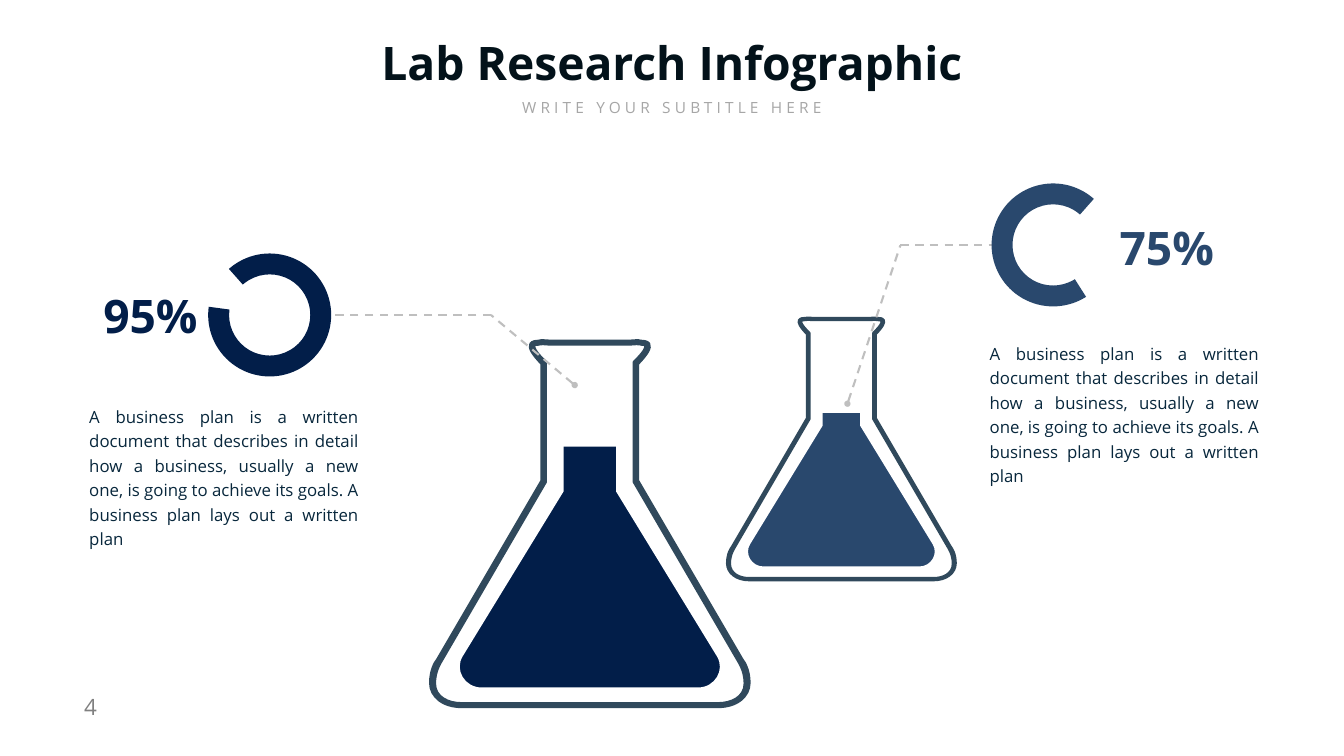
from dataclasses import dataclass
from typing import Optional

from lxml.etree import SubElement
from pptx import Presentation
from pptx.dml.color import RGBColor
from pptx.enum.dml import MSO_LINE_DASH_STYLE as Dash
from pptx.enum.shapes import MSO_CONNECTOR, MSO_SHAPE
from pptx.enum.text import MSO_ANCHOR, MSO_AUTO_SIZE, PP_ALIGN
from pptx.oxml.ns import qn
from pptx.util import Inches, Pt

ROWS = 15
COLUMNS = 26.66
SLIDE_HEIGHT = Inches(15)
CELL = SLIDE_HEIGHT / ROWS

Point = tuple[float, float]
Step = tuple[Point, ...]
Profile = tuple[Step, ...]


@dataclass(frozen=True)
class Theme:
    font: str = "Open Sans"
    navy: str = "021E49"
    steel: str = "29486D"
    glass: str = "30495C"
    paper: str = "FFFFFF"
    leader: str = "BFBFBF"
    heading: str = "03121A"
    subtitle: str = "A6A6A6"
    body: str = "08273C"
    number: str = "808080"
    heading_size: float = 66
    number_size: float = 32
    body_size: float = 24
    body_line: float = 35
    subtitle_size: float = 22
    leader_width: float = 3


THEME = Theme()


@dataclass(frozen=True)
class Area:
    left: float
    top: float
    width: float
    height: float

    def emu(self) -> tuple[int, ...]:
        return tuple(cells(n) for n in (self.left, self.top, self.width, self.height))


@dataclass(frozen=True)
class Experiment:
    color: str
    center: float
    top: float
    scale: float
    level: float
    leader: tuple[Point, Point, Point]
    gauge: Area
    gauge_start: float
    gauge_flipped: bool
    percent: str
    percent_area: Area
    percent_align: PP_ALIGN
    description_area: Area


DESCRIPTION = (
    "A business plan is a written document that describes in detail how a "
    "business, usually a new one, is going to achieve its goals. A business "
    "plan lays out a written plan"
)

EXPERIMENTS = (
    Experiment(
        THEME.navy, 11.7, 6.45, 1, 2.41,
        ((11.4, 7.64), (9.74, 6.25), (6.42, 6.25)),
        Area(4.13, 5.03, 2.44, 2.44), 211.39, True,
        "95%", Area(1.93, 5.64, 2.09, 1.21), PP_ALIGN.RIGHT,
        Area(1.53, 7.86, 5.82, 3.15),
    ),
    Experiment(
        THEME.steel, 16.69, 6.08, 4.78 / 6.66, 2.95,
        ((16.81, 8.01), (17.86, 4.87), (19.97, 4.87)),
        Area(19.67, 3.64, 2.44, 2.44), 34.56, False,
        "75%", Area(22.11, 4.29, 2.09, 1.21), PP_ALIGN.LEFT,
        Area(19.39, 6.61, 5.82, 3.15),
    ),
)

SURROUND: Profile = (((3.33, 0),), ((3.33, 7.98),))
LIQUID: Profile = (
    ((0.52, 0.79),), ((0.52, 3.3),), ((2.52, 6.57),),
    ((2.69, 6.84), (2.48, 7.19), (2.15, 7.19)),
)
GLASS_OUTSIDE: Profile = (
    ((0.79, 0.29),), ((0.8, 0.29), (0.86, 0.28), (0.92, 0.28)),
    ((0.96, 0.28), (0.99, 0.28), (1.02, 0.29)),
    ((1.15, 0.29), (1.19, 0.34), (1.2, 0.37)),
    ((1.24, 0.46), (1.17, 0.58), (0.98, 0.78)), ((0.98, 3.08),), ((3.05, 6.63),),
    ((3.08, 6.66), (3.19, 6.83), (3.19, 7.1)),
    ((3.19, 7.39), (2.92, 7.6), (2.55, 7.6)),
)
GLASS_INSIDE: Profile = (
    ((0.79, 0.41),), ((0.8, 0.41), (0.87, 0.4), (0.92, 0.4)),
    ((0.96, 0.4), (0.99, 0.4), (1.02, 0.41)),
    ((1.07, 0.41), (1.08, 0.42), (1.08, 0.42)),
    ((1.08, 0.42), (1.1, 0.48), (0.87, 0.7)),
    ((0.85, 0.73),), ((0.85, 3.12),), ((2.94, 6.71),),
    ((2.94, 6.72), (3.05, 6.87), (3.05, 7.11)),
    ((3.05, 7.37), (2.79, 7.48), (2.55, 7.48)),
)


def cells(count: float) -> int:
    return round(count * CELL)


def mirrored(profile: Profile) -> list[Step]:
    left_half = [(profile[-1][-1],)]
    for before, step in zip(profile[-2::-1], profile[:0:-1]):
        left_half.append((*step[-2::-1], before[-1]))
    return [*profile, *(tuple((-x, y) for x, y in step) for step in left_half)]


def paint(shape, color: str) -> None:
    shape.shadow.inherit = False
    shape.fill.solid()
    shape.fill.fore_color.rgb = RGBColor.from_string(color)
    shape.line.fill.background()


def write(holder, text: str, *, area: Area, size: float, color: str, bold: bool = False,
          align: PP_ALIGN = PP_ALIGN.LEFT, anchor: MSO_ANCHOR = MSO_ANCHOR.MIDDLE,
          wrap: bool = False, tracking: float = 0, line: Optional[float] = None,
          inset: Point = (0.1, 0.05)) -> None:
    holder.left, holder.top, holder.width, holder.height = area.emu()
    frame = holder.text_frame
    frame.auto_size = MSO_AUTO_SIZE.NONE
    frame.word_wrap = wrap
    frame.vertical_anchor = anchor
    frame.margin_left = frame.margin_right = Inches(inset[0])
    frame.margin_top = frame.margin_bottom = Inches(inset[1])
    paragraph = frame.paragraphs[0]
    paragraph.alignment = align
    paragraph.space_before = Pt(0)
    paragraph.line_spacing = Pt(line) if line else 1.0
    run = paragraph.add_run()
    run.text = text
    run.font.name, run.font.size, run.font.bold = THEME.font, Pt(size), bold
    run.font.color.rgb = RGBColor.from_string(color)
    if tracking:
        run.font._element.set("spc", str(round(tracking * 100)))


def draw_outline(shapes, item: Experiment, color: str, *profiles: Profile) -> None:
    contours = [
        [[(cells(item.center + x * item.scale), cells(item.top + y * item.scale))
          for x, y in step] for step in mirrored(profile)]
        for profile in profiles
    ]
    builder = shapes.build_freeform(*contours[0][0][0])
    for index, (start, *steps) in enumerate(contours):
        if index:
            builder.move_to(*start[0])
        builder.add_line_segments([step[-1] for step in steps], close=True)
    outline = builder.convert_to_shape()
    edges = list(outline._element.iter(qn("a:lnTo")))
    for edge, step in zip(edges, (step for contour in contours for step in contour[1:])):
        if len(step) == 3:
            curve = edge.getparent().makeelement(qn("a:cubicBezTo"))
            for x, y in step:
                SubElement(curve, qn("a:pt"), x=str(x - outline.left), y=str(y - outline.top))
            edge.getparent().replace(edge, curve)
    paint(outline, color)


def draw_flask(shapes, item: Experiment) -> None:
    liquid = Area(item.center - 2.97 * item.scale, item.top + item.level * item.scale,
                  5.96 * item.scale, (7.81 - item.level) * item.scale)
    paint(shapes.add_shape(MSO_SHAPE.RECTANGLE, *liquid.emu()), item.color)
    draw_outline(shapes, item, THEME.paper, SURROUND, LIQUID)
    draw_outline(shapes, item, THEME.glass, GLASS_OUTSIDE, GLASS_INSIDE)


def draw_leader(shapes, start: Point, end: Point, marker: str, shape_type: str) -> None:
    leader = shapes.add_connector(MSO_CONNECTOR.STRAIGHT, *map(cells, start + end))
    leader.line.color.rgb = RGBColor.from_string(THEME.leader)
    leader.line.width = Pt(THEME.leader_width)
    leader.line.dash_style = Dash.DASH
    SubElement(leader.line._get_or_add_ln(), qn(f"a:{marker}"), type=shape_type)
    SubElement(leader._element.spPr, qn("a:effectLst"))


def draw_gauge(shapes, item: Experiment) -> None:
    gauge = shapes.add_shape(MSO_SHAPE.BLOCK_ARC, *item.gauge.emu())
    for index, value in enumerate((item.gauge_start, 186.89, 0.17)):
        gauge.adjustments[index] = value
    if item.gauge_flipped:
        gauge._element.spPr.xfrm.set("flipH", "1")
    paint(gauge, item.color)


def draw_experiment(shapes, item: Experiment) -> None:
    draw_flask(shapes, item)
    tip, bend, gauge_edge = item.leader
    draw_leader(shapes, tip, bend, "headEnd", "oval")
    draw_leader(shapes, bend, gauge_edge, "tailEnd", "diamond")
    draw_gauge(shapes, item)
    write(shapes.add_textbox(0, 0, 0, 0), item.percent, area=item.percent_area,
          size=THEME.heading_size, color=item.color, bold=True, align=item.percent_align)
    write(shapes.add_textbox(0, 0, 0, 0), DESCRIPTION, area=item.description_area,
          size=THEME.body_size, color=THEME.body, align=PP_ALIGN.JUSTIFY,
          anchor=MSO_ANCHOR.TOP, wrap=True, line=THEME.body_line, inset=(0.24, 0.12))


def main() -> None:
    deck = Presentation()
    deck.slide_width, deck.slide_height = cells(COLUMNS), SLIDE_HEIGHT
    slide = deck.slides.add_slide(deck.slide_layouts[0])
    heading, subtitle = slide.placeholders
    write(heading, "Lab Research Infographic", area=Area(7.41, 0.62, 11.84, 1.21),
          size=THEME.heading_size, color=THEME.heading, bold=True, align=PP_ALIGN.CENTER)
    write(subtitle, "WRITE YOUR SUBTITLE HERE", area=Area(10.24, 1.9, 6.18, 0.47),
          size=THEME.subtitle_size, color=THEME.subtitle, align=PP_ALIGN.CENTER, tracking=6)
    for item in EXPERIMENTS:
        draw_experiment(slide.shapes, item)
    write(slide.shapes.add_textbox(0, 0, 0, 0), "4", area=Area(1.57, 13.7, 0.85, 0.64),
          size=THEME.number_size, color=THEME.number, tracking=3)
    deck.save("out.pptx")


if __name__ == "__main__":
    main()
